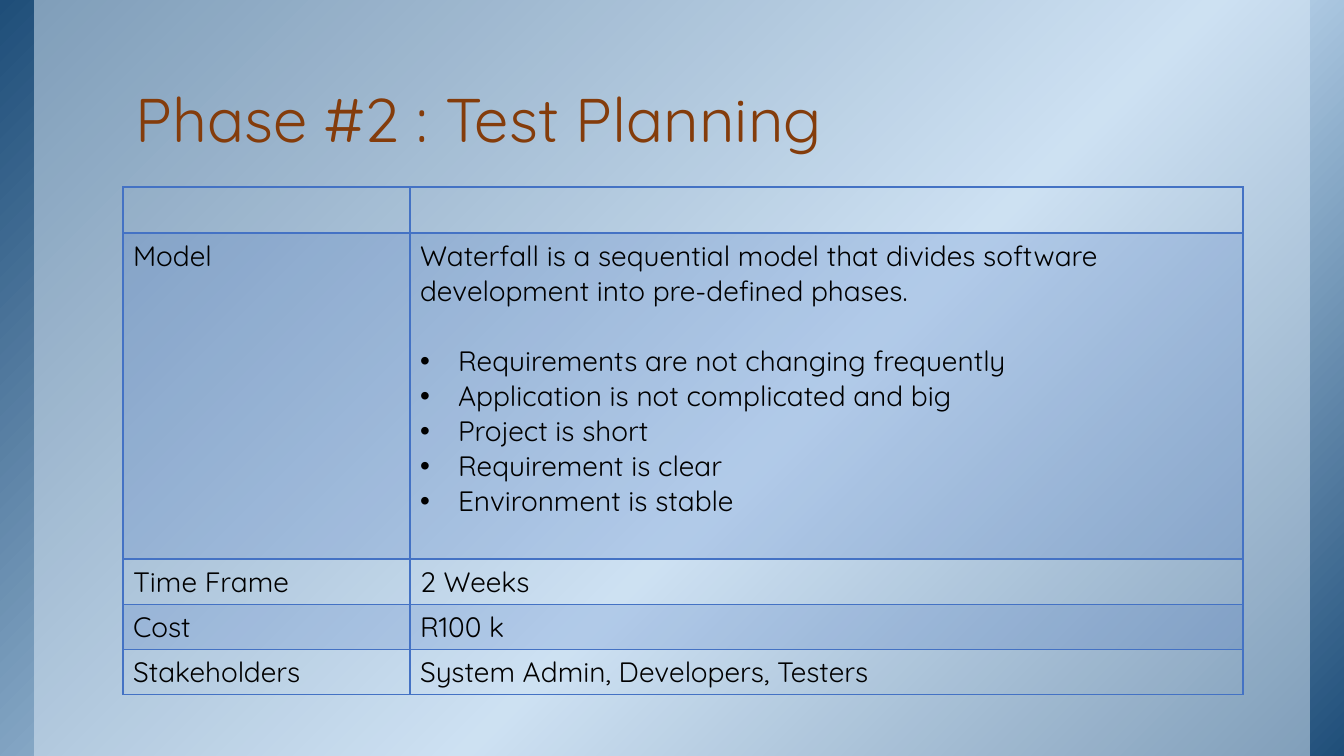
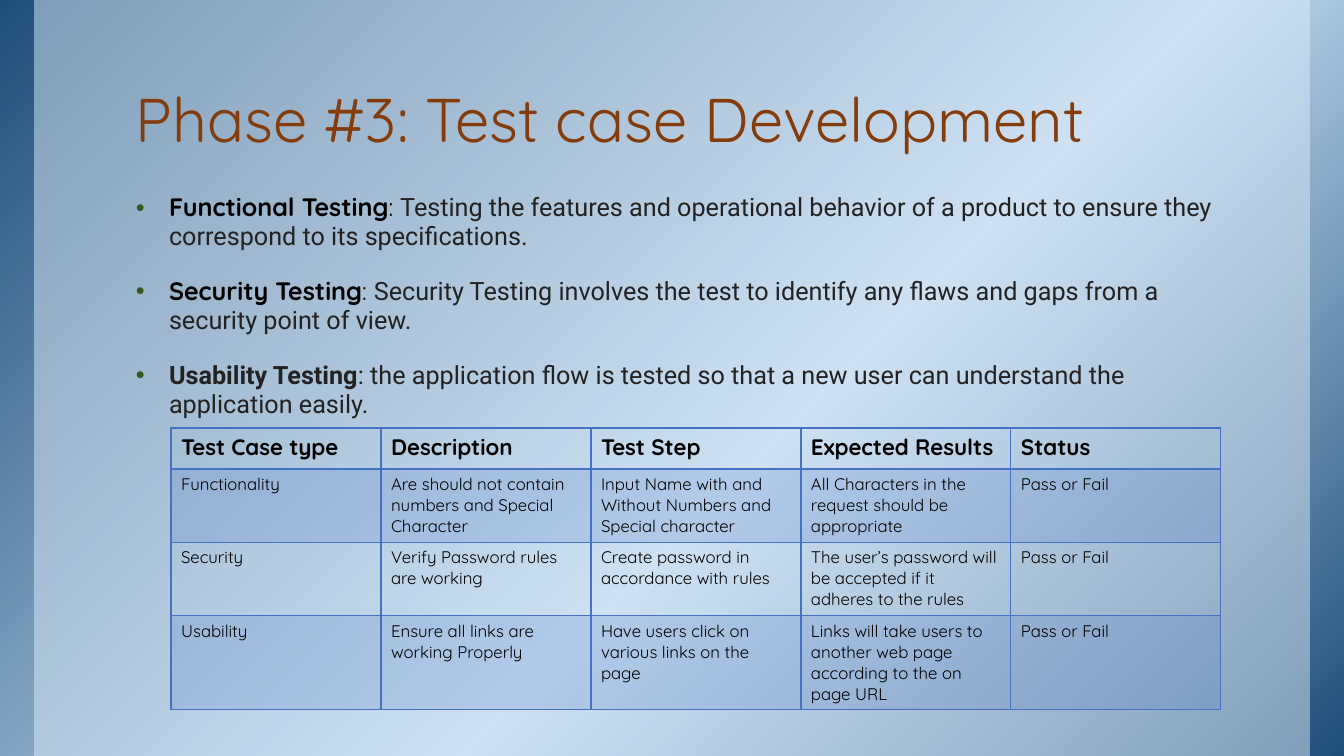
import copy

from lxml import etree
from pptx import Presentation
from pptx import util as u
from pptx.dml import color
from pptx.enum import shapes, text
from pptx.oxml import ns

SCALE = 914400 / 100.8
WIDTH, HEIGHT = 1344, 756
TITLE_FONT, BODY_FONT = "Quicksand", "Roboto"
PLAIN_TABLE = "{2D5ABB26-0587-4C30-8999-92F81FD0307C}"
COLOURS = {
    "edge": "1F4E79",
    "glow": "BDD7EE",
    "panel": "DEEBF7",
    "title": "843C0B",
    "black": "000000",
    "body": "222222",
    "bullet": "385723",
    "table": "4472C4",
}
PX = lambda *lengths: [round(length * SCALE) for length in lengths]
RGB = {name: color.RGBColor.from_string(value) for name, value in COLOURS.items()}


def style(span, size, colour="black", font=TITLE_FONT, bold=False):
    span.font.size = u.Pt(size)
    span.font.name = font
    span.font.bold = bold
    span.font.color.rgb = RGB[colour]


def bullet(para, indent, colour):
    props = para._p.get_or_add_pPr()
    props.set("marL", str(PX(indent)[0]))
    props.set("indent", str(PX(-indent)[0]))
    tint = etree.SubElement(props, ns.qn("a:buClr"))
    etree.SubElement(tint, ns.qn("a:srgbClr"), val=COLOURS[colour])
    etree.SubElement(props, ns.qn("a:buFont"), typeface="Arial")
    etree.SubElement(props, ns.qn("a:buChar"), char="•")


model_text = [
    "Waterfall is a sequential model that divides software development into pre-defined phases.",
    "Requirements are not changing frequently",
    "Application is not complicated and big",
    "Project is short",
    "Requirement is clear",
    "Environment is stable",
]
definitions = [
    [
        ("Functional Testing", TITLE_FONT, "black", True),
        (": ", TITLE_FONT, "black", False),
        ("Testing the features and operational behavior of a product to ensure they "
         "correspond to its specifications.", BODY_FONT, "body", False),
    ],
    [
        ("Security Testing", TITLE_FONT, "black", True),
        (": ", TITLE_FONT, "black", False),
        ("Security Testing involves the test to identify any flaws and gaps from a "
         "security point of view.", BODY_FONT, "body", False),
    ],
    [
        ("Usability Testing", BODY_FONT, "body", True),
        (": the application flow is tested so that a new user can understand the "
         "application easily.", BODY_FONT, "body", False),
    ],
]
pages = [
    {
        "title": "Phase #2 : Test Planning",
        "layout": 5,
        "body": [],
        "origin": (123, 187),
        "widths": [287, 833],
        "heights": [46, 326, 45, 45, 45],
        "sizes": (20, 20),
        "rows": [
            ["", ""],
            ["Model", "\n".join(model_text)],
            ["Time Frame", "2 Weeks"],
            ["Cost", "R100 k"],
            ["Stakeholders", "System Admin, Developers, Testers"],
        ],
    },
    {
        "title": "Phase #3: Test case Development",
        "layout": 1,
        "body": definitions,
        "origin": (171, 428),
        "widths": [210] * 5,
        "heights": [41, 73, 73, 94],
        "sizes": (16, 12),
        "rows": [
            ["Test Case type", "Description", "Test Step", "Expected Results", "Status"],
            ["Functionality", "Are should not contain numbers and Special Character",
             "Input Name with and Without Numbers and Special character",
             "All Characters in the request should be appropriate", "Pass or Fail"],
            ["Security", "Verify Password rules are working",
             "Create password in accordance with rules",
             "The user’s password will be accepted if it adheres to the rules", "Pass or Fail"],
            ["Usability", "Ensure all links are working Properly",
             "Have users click on various links on the page",
             "Links will take users to another web page according to the on page URL",
             "Pass or Fail"],
        ],
    },
]

deck = Presentation()
deck.slide_width, deck.slide_height = PX(WIDTH, HEIGHT)
slides = [deck.slides.add_slide(deck.slide_layouts[entry["layout"]]) for entry in pages]

backdrop = slides[0].shapes.add_shape(shapes.MSO_SHAPE.RECTANGLE, *PX(0, 0, WIDTH, HEIGHT))
backdrop.fill.gradient()
backdrop.fill.gradient_angle = 315
stop_list = backdrop.element.spPr.find(".//" + ns.qn("a:gsLst"))
stop_list.append(copy.deepcopy(stop_list[0]))
stops = [(0, "edge"), (0.58, "glow"), (1, "edge")]
for stop, (position, colour) in zip(backdrop.fill.gradient_stops, stops):
    stop.position = position
    stop.color.rgb = RGB[colour]

panel = slides[0].shapes.add_shape(shapes.MSO_SHAPE.RECTANGLE, *PX(34, 0, 1276, HEIGHT))
panel.fill.solid()
panel.fill.fore_color.rgb = RGB["panel"]
panel_colour = panel.element.spPr.find(".//" + ns.qn("a:srgbClr"))
etree.SubElement(panel_colour, ns.qn("a:alpha"), val="50000")

master_tree = deck.slide_master.element.cSld.spTree
for index, shape in enumerate([backdrop, panel]):
    shape.line.fill.background()
    shape.shadow.inherit = False
    shape.element.nvSpPr.cNvPr.set("id", str(100 + index))
    master_tree.insert(2 + index, shape.element)

for page, entry in zip(slides, pages):
    page.shapes.title.text_frame.text = entry["title"]
    frames = {0: (8, 154, text.MSO_ANCHOR.BOTTOM), 1: (187, 493, text.MSO_ANCHOR.TOP)}
    for box in page.placeholders:
        top, height, anchor = frames[box.placeholder_format.idx]
        box.left, box.top, box.width, box.height = PX(123, top, 1120, height)
        frame = box.text_frame
        frame.auto_size = text.MSO_AUTO_SIZE.NONE
        frame.word_wrap = True
        frame.vertical_anchor = anchor
        frame.margin_left, frame.margin_right = PX(13, 13)
        frame.margin_top, frame.margin_bottom = PX(7, 7)

    heading = page.shapes.title.text_frame.paragraphs[0]
    heading.alignment = text.PP_ALIGN.LEFT
    heading.line_spacing = 0.85
    style(heading.runs[0], 44, "title")

    for index, pieces in enumerate(entry["body"]):
        frame = page.placeholders[1].text_frame
        para = frame.add_paragraph() if index else frame.paragraphs[0]
        para.line_spacing = 0.95
        para.space_before = u.Pt(18.7)
        bullet(para, 33, "bullet")
        for words, font, colour, bold in pieces:
            span = para.add_run()
            span.text = words
            style(span, 18, colour, font, bold)

    rows, widths, heights = entry["rows"], entry["widths"], entry["heights"]
    holder = page.shapes.add_table(
        len(rows), len(widths), *PX(*entry["origin"], sum(widths), sum(heights)))
    next(holder.element.iter(ns.qn("a:tableStyleId"))).text = PLAIN_TABLE
    table = holder.table
    table.horz_banding = False
    for column, width in zip(table.columns, PX(*widths)):
        column.width = width
    for row, height in zip(table.rows, PX(*heights)):
        row.height = height

    for r, values in enumerate(rows):
        for c, value in enumerate(values):
            cell = table.cell(r, c)
            props = cell._tc.get_or_add_tcPr()
            if r % 2:
                cell.fill.solid()
                cell.fill.fore_color.rgb = RGB["table"]
                etree.SubElement(props.find(".//" + ns.qn("a:srgbClr")), ns.qn("a:alpha"), val="20000")
            else:
                cell.fill.background()
            for place, side in enumerate(["lnL", "lnR", "lnT", "lnB"]):
                heavy = (r == 0 and side == "lnB") or (r == 1 and side == "lnT")
                border = etree.Element(ns.qn("a:" + side), w=str(u.Pt(2 if heavy else 1)))
                paint = etree.SubElement(border, ns.qn("a:solidFill"))
                etree.SubElement(paint, ns.qn("a:srgbClr"), val=COLOURS["table"])
                props.insert(place, border)

            if not value:
                continue
            cell.text_frame.text = value
            for index, para in enumerate(cell.text_frame.paragraphs):
                style(para.runs[0], entry["sizes"][r > 0], bold=r == 0)
                if index:
                    para.space_before = u.Pt(25 if index == 1 else 0)
                    bullet(para, 38, "black")

deck.save("out.pptx")
